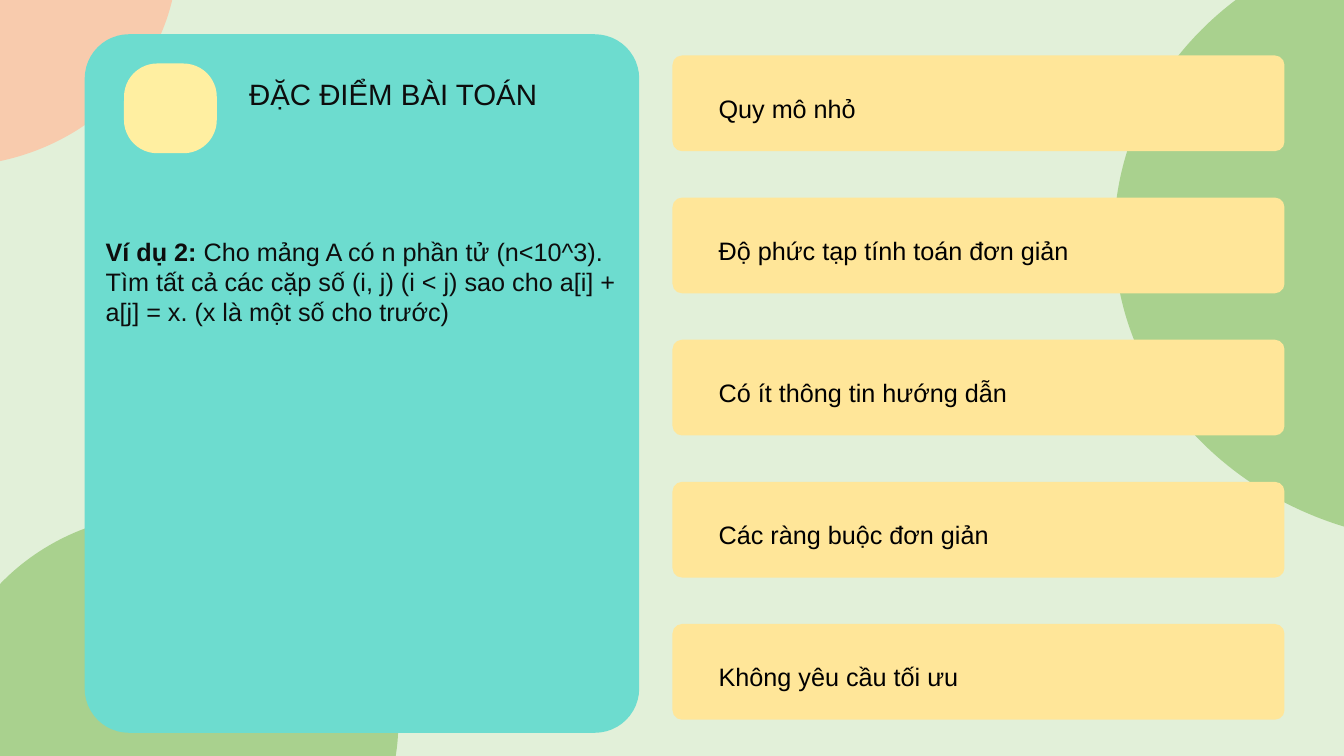
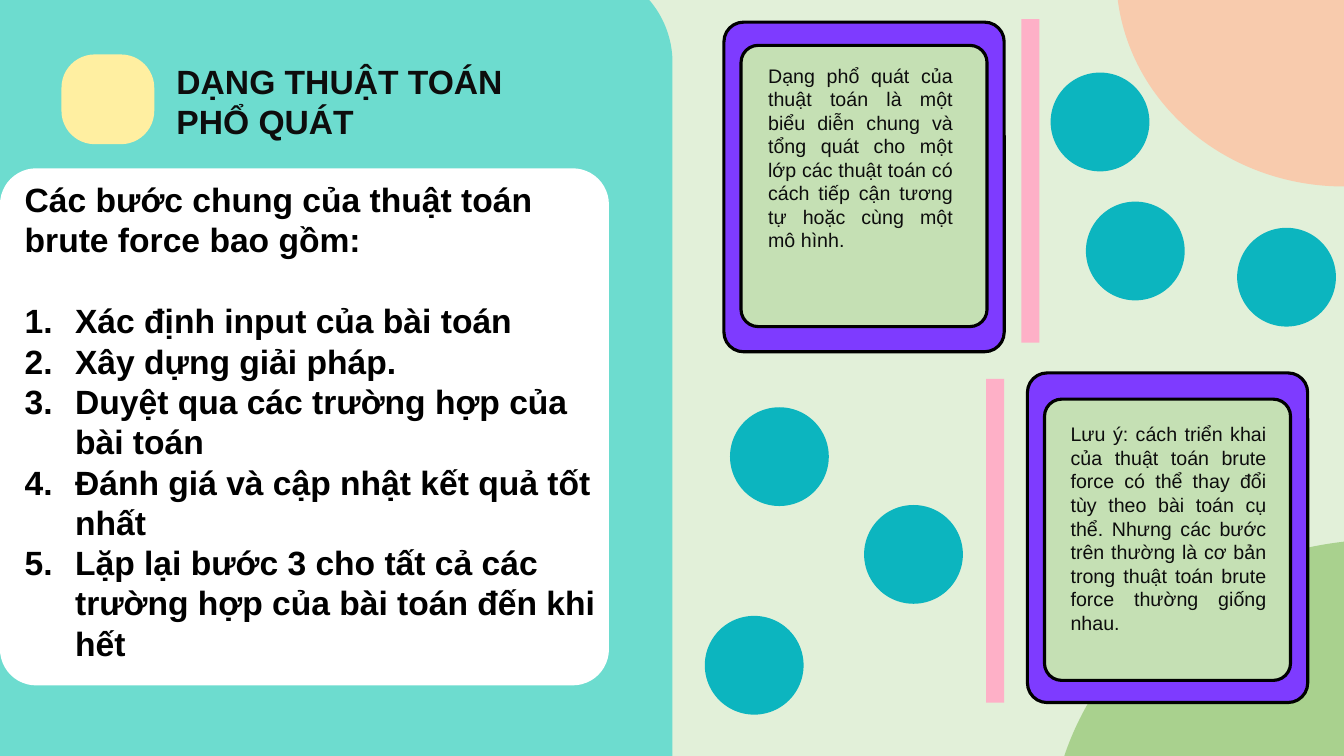
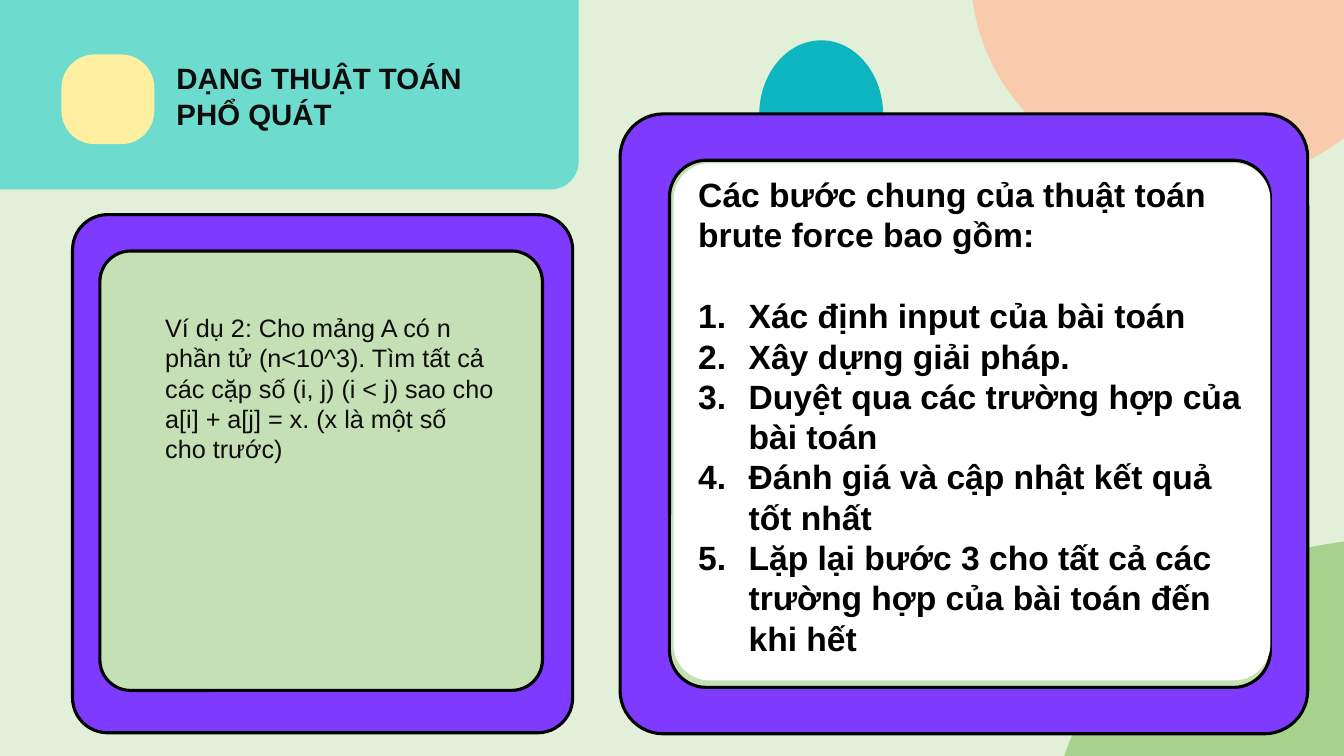
from dataclasses import dataclass

from lxml import etree
from pptx import Presentation
from pptx.dml.color import RGBColor
from pptx.enum.shapes import MSO_SHAPE
from pptx.enum.text import MSO_ANCHOR, MSO_AUTO_SIZE, PP_ALIGN
from pptx.oxml.ns import qn
from pptx.util import Inches, Pt


@dataclass(frozen=True)
class Theme:
    font: str = "Arial"
    background: str = "E2F0D9"
    peach: str = "F8CBAD"
    leaf: str = "A9D18E"
    teal: str = "6DDCCF"
    badge: str = "FFEFA1"
    card: str = "FFE699"
    purple: str = "7E3BFF"
    mint: str = "C5E0B4"
    pink: str = "FEB0C7"
    dot: str = "0CB5BF"
    white: str = "FFFFFF"
    black: str = "000000"
    ink: str = "0D0D0D"
    note: int = 14
    body: int = 18
    heading: int = 21
    large: int = 24


theme = Theme()

EXAMPLE_LEAD = "Ví dụ 2: "
EXAMPLE = (
    "Cho mảng A có n phần tử (n<10^3). Tìm tất cả các cặp số (i, j) (i < j) "
    "sao cho a[i] + a[j] = x. (x là một số cho trước)"
)
FEATURES = [
    "Quy mô nhỏ",
    "Độ phức tạp tính toán đơn giản",
    "Có ít thông tin hướng dẫn",
    "Các ràng buộc đơn giản",
    "Không yêu cầu tối ưu",
]
STEPS_INTRO = "Các bước chung của thuật toán brute force bao gồm:"
STEPS = [
    "Xác định input của bài toán",
    "Xây dựng giải pháp.",
    "Duyệt qua các trường hợp của bài toán",
    "Đánh giá và cập nhật kết quả tốt nhất",
    "Lặp lại bước 3 cho tất cả các trường hợp của bài toán đến khi hết",
]
GENERAL_FORM = (
    "Dạng phổ quát của thuật toán là một biểu diễn chung và tổng quát cho một lớp "
    "các thuật toán có cách tiếp cận tương tự hoặc cùng một mô hình."
)
REMARK = (
    "Lưu ý: cách triển khai của thuật toán brute force có thể thay đổi tùy theo bài "
    "toán cụ thể. Nhưng các bước trên thường là cơ bản trong thuật toán brute force "
    "thường giống nhau."
)
FORM_TITLE = "DẠNG THUẬT TOÁN PHỔ QUÁT"


def add_shape(slide, preset, at, fill, radius=None, outlined=False):
    """Add a flat filled shape; at is left, top, width, height in inches."""
    sp = slide.shapes.add_shape(preset, *map(Inches, at))
    sp.shadow.inherit = False
    sp.fill.solid()
    sp.fill.fore_color.rgb = RGBColor.from_string(fill)
    if radius is not None:
        sp.adjustments[0] = radius
    if outlined:
        sp.line.color.rgb = RGBColor.from_string(theme.black)
        sp.line.width = Pt(2.25)
    else:
        sp.line.fill.background()
    return sp


def style_text(sp, size, color=theme.ink, bold=False, align=PP_ALIGN.LEFT, anchor=MSO_ANCHOR.TOP):
    tf = sp.text_frame
    tf.word_wrap = True
    tf.auto_size = MSO_AUTO_SIZE.NONE
    tf.vertical_anchor = anchor
    for p in tf.paragraphs:
        p.alignment = align
        for r in p.runs:
            r.font.name = theme.font
            r.font.size = Pt(size)
            r.font.bold = bold
            r.font.color.rgb = RGBColor.from_string(color)


prs = Presentation()
prs.slide_width, prs.slide_height = Inches(13.33), Inches(7.5)
master_fill = prs.slide_master.background.fill
master_fill.solid()
master_fill.fore_color.rgb = RGBColor.from_string(theme.background)
title_only = prs.slide_layouts[5]
features, form, example = [prs.slides.add_slide(title_only) for _ in range(3)]

# Background blobs
for s, at, fill in [
    (features, (-2.76, -2.55, 4.52, 4.2), theme.peach),
    (features, (11.05, -0.7, 6.67, 6.08), theme.leaf),
    (features, (-0.57, 5.09, 4.52, 4.19), theme.leaf),
    (form, (11.07, -2.35, 4.52, 4.2), theme.peach),
    (form, (10.41, 5.35, 6.67, 6.08), theme.leaf),
    (example, (9.63, -2.35, 4.52, 4.2), theme.peach),
    (example, (10.41, 5.35, 6.67, 6.08), theme.leaf),
]:
    add_shape(s, MSO_SHAPE.OVAL, at, fill)

# Teal panels
for s, at, radius in [
    (features, (0.84, 0.34, 5.5, 6.93), 0.08),
    (form, (-0.64, -0.33, 7.31, 9.07), 0.13),
    (example, (-0.64, -0.27, 6.38, 2.15), 0.13),
]:
    add_shape(s, MSO_SHAPE.ROUNDED_RECTANGLE, at, theme.teal, radius)

# Feature cards
for i, feature in enumerate(FEATURES):
    card = add_shape(features, MSO_SHAPE.ROUNDED_RECTANGLE,
                     (6.67, 0.55 + 1.41 * i, 6.07, 0.95), theme.card, 0.1)
    card.text_frame.text = feature
    card.text_frame.margin_left = Inches(0.43)
    card.text_frame.margin_top = Inches(0.15)
    style_text(card, theme.body, theme.black, anchor=MSO_ANCHOR.MIDDLE)

# Bars and dots
for at in [(9.78, 3.76, 0.18, 3.21), (10.13, 0.19, 0.18, 3.21)]:
    add_shape(form, MSO_SHAPE.RECTANGLE, at, theme.pink)
for left, top in [(7.24, 4.04), (8.57, 5.01), (6.99, 6.11),
                  (10.42, 0.72), (12.27, 2.26), (10.77, 2)]:
    add_shape(form, MSO_SHAPE.OVAL, (left, top, 0.98, 0.98), theme.dot)
add_shape(example, MSO_SHAPE.OVAL, (7.53, 0.4, 1.23, 1.48), theme.dot)

# Purple frames with a mint inside
for s, outer, inner in [
    (form, (7.18, 0.22, 2.78, 3.27), (7.35, 0.45, 2.44, 2.79)),
    (form, (10.19, 3.7, 2.78, 3.27), (10.36, 3.96, 2.44, 2.79)),
    (example, (0.72, 2.13, 4.96, 5.14), (0.99, 2.49, 4.39, 4.36)),
    (example, (6.15, 1.13, 6.82, 6.15), (6.64, 1.59, 5.96, 5.23)),
]:
    for at, fill in [(outer, theme.purple), (inner, theme.mint)]:
        add_shape(s, MSO_SHAPE.ROUNDED_RECTANGLE, at, fill, 0.07, outlined=True)

# White panels with the numbered steps
for s, at in [(form, (0, 1.67, 6.04, 5.13)), (example, (6.68, 1.62, 5.92, 5.13))]:
    panel = add_shape(s, MSO_SHAPE.ROUNDED_RECTANGLE, at, theme.white, 0.07)
    tf = panel.text_frame
    tf.text = "\n".join([STEPS_INTRO, *STEPS])
    tf.margin_left = Inches(0.14)
    tf.margin_top = tf.margin_right = 0
    style_text(panel, theme.large, theme.black, bold=True)
    intro, *steps = tf.paragraphs
    intro.space_after = Pt(29)
    for p in steps:
        pPr = p._p.get_or_add_pPr()
        pPr.set("marL", str(Inches(0.5)))
        pPr.set("indent", str(-Inches(0.5)))
        etree.SubElement(pPr, qn("a:buAutoNum"), type="arabicPeriod")

# Running text
for s, at, text, size, align in [
    (features, (0.95, 2.29, 5.3, 1.01), EXAMPLE_LEAD, theme.body, PP_ALIGN.LEFT),
    (form, (7.52, 0.58, 2.03, 1.99), GENERAL_FORM, theme.note, PP_ALIGN.JUSTIFY),
    (form, (10.52, 4.14, 2.14, 2.22), REMARK, theme.note, PP_ALIGN.JUSTIFY),
    (example, (1.54, 3.05, 3.46, 1.62), EXAMPLE_LEAD + EXAMPLE, theme.body, PP_ALIGN.LEFT),
]:
    box = s.shapes.add_textbox(*map(Inches, at))
    box.text_frame.text = text
    p = box.text_frame.paragraphs[0]
    if text == EXAMPLE_LEAD:
        p.add_run().text = EXAMPLE
    style_text(box, size, align=align)
    if text == EXAMPLE_LEAD:
        p.runs[0].font.bold = True

# Badges and titles, in front of the panels
for s, badge, at, text, size, bold in [
    (features, (1.23, 0.63), (2.37, 0.7, 3.16, 0.45), "ĐẶC ĐIỂM BÀI TOÁN", theme.heading, False),
    (form, (0.61, 0.54), (1.65, 0.55, 3.73, 0.91), FORM_TITLE, theme.large, True),
    (example, (0.61, 0.54), (1.65, 0.55, 3.34, 0.81), FORM_TITLE, theme.heading, True),
]:
    add_shape(s, MSO_SHAPE.ROUNDED_RECTANGLE, (*badge, 0.92, 0.89), theme.badge, 0.37)
    title = s.shapes.title
    title.left, title.top, title.width, title.height = map(Inches, at)
    title.text_frame.text = text
    style_text(title, size, bold=bold)
    s.shapes._spTree.append(title._element)

prs.save("out.pptx")
